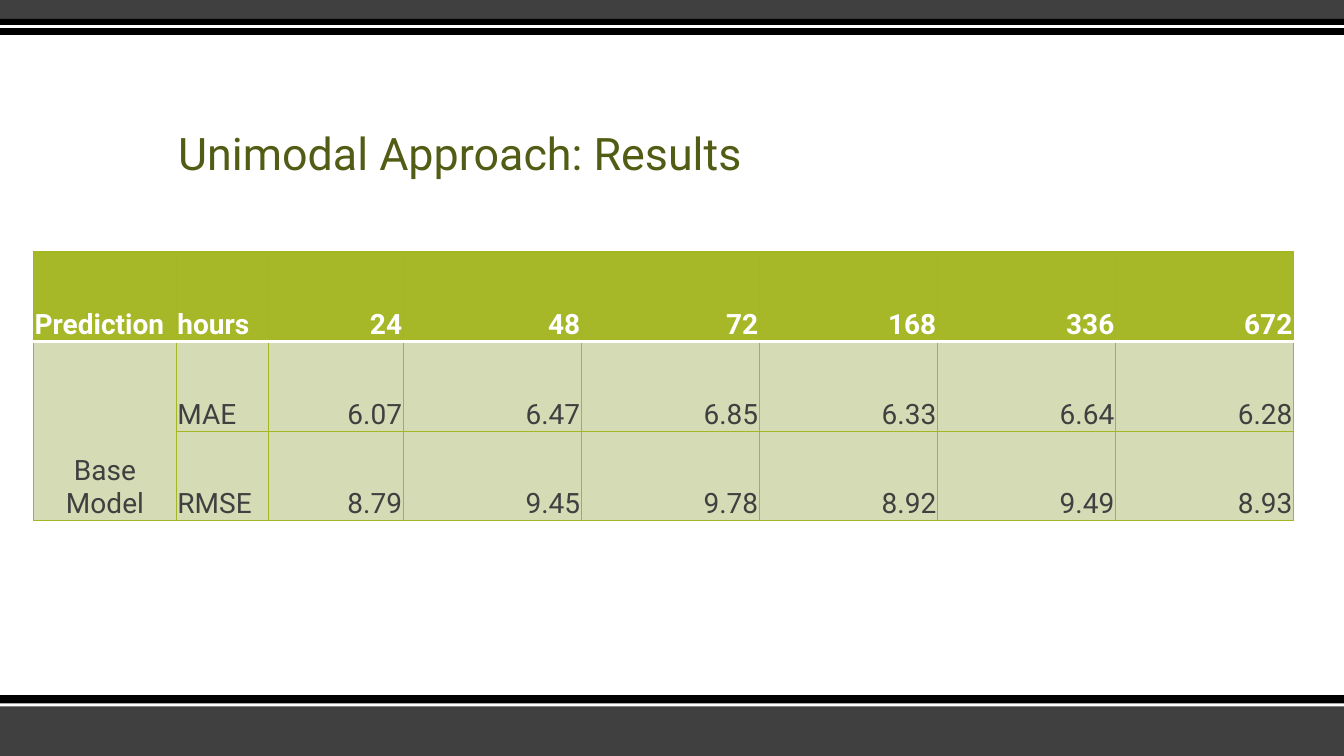
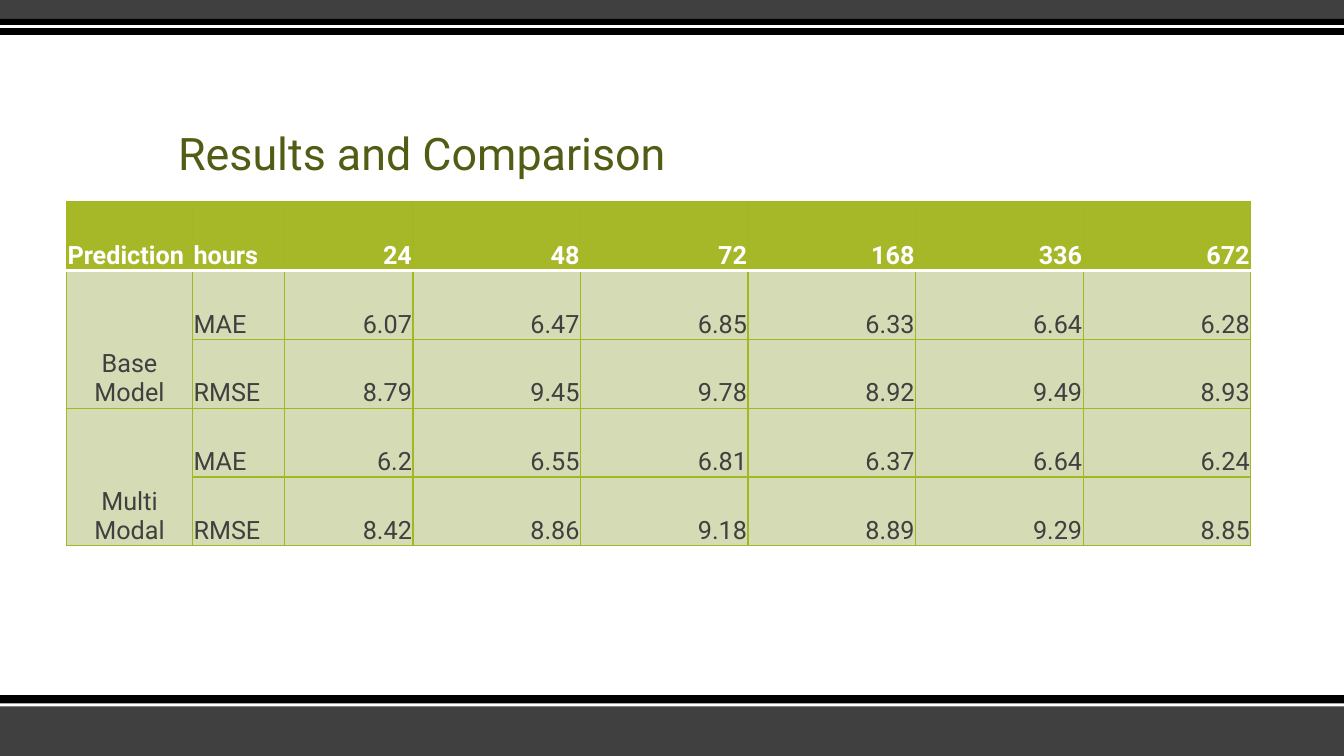
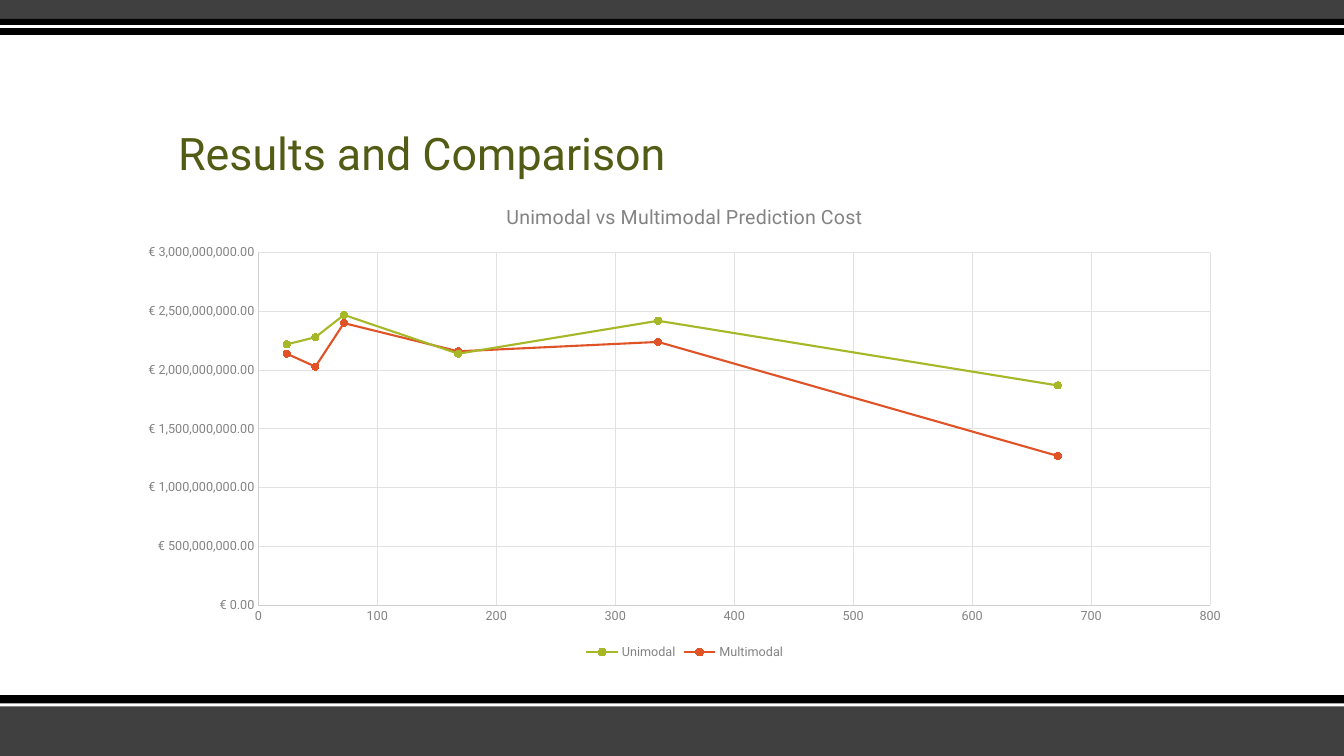
from lxml.etree import SubElement as Sub
from pptx import Presentation
from pptx.chart.data import XyChartData
from pptx.dml.color import RGBColor
from pptx.enum.chart import XL_CHART_TYPE as Kind, XL_LEGEND_POSITION as Spot
from pptx.enum.chart import XL_MARKER_STYLE as Mark, XL_TICK_MARK as Tick
from pptx.enum.shapes import MSO_SHAPE as Form
from pptx.enum.text import MSO_ANCHOR as Anchor, MSO_AUTO_SIZE as Fit, PP_ALIGN as Align
from pptx.oxml.ns import qn
from pptx.util import Pt

FONT = "Roboto"
WIDE, HIGH = 960, 540
DARK, BLACK, WHITE = "404040", "000000", "FFFFFF"
GREEN, EDGE, PALE, OLIVE, RED = "A6B727", "A5B623", "D5DBB5", "535C14", "DF5327"
GREY, AXIS, GRID = "838383", "CFCFCF", "E2E2E2"


def hue(code):
    return RGBColor.from_string(code)


def start(title):
    """Add a slide with the shared title style."""
    slide = deck.slides.add_slide(layout)
    head = slide.shapes.title
    head.left, head.top, head.width, head.height = Pt(120), Pt(48), Pt(720), Pt(84)
    frame = head.text_frame
    frame.auto_size = Fit.NONE
    frame.vertical_anchor = Anchor.BOTTOM
    para = frame.paragraphs[0]
    para.alignment = Align.LEFT
    para.line_spacing = 0.9
    run = para.add_run()
    run.text = title
    run.font.name, run.font.size = FONT, Pt(32)
    run.font.color.rgb = hue(OLIVE)
    return slide


deck = Presentation()
deck.slide_width, deck.slide_height = Pt(WIDE), Pt(HIGH)
layout = deck.slide_layouts[5]

# Tables
hours = [24, 48, 72, 168, 336, 672]
header = ["Prediction", "hours"] + [str(hour) for hour in hours]
base = [
    ["Base Model", "MAE", "6.07", "6.47", "6.85", "6.33", "6.64", "6.28"],
    ["", "RMSE", "8.79", "9.45", "9.78", "8.92", "9.49", "8.93"],
]
multi = [
    ["Multi Modal", "MAE", "6.2", "6.55", "6.81", "6.37", "6.64", "6.24"],
    ["", "RMSE", "8.42", "8.86", "9.18", "8.89", "9.29", "8.85"],
]
# title, rows, left, top, total width, row height, text size, first three columns
tables = [
    ("Unimodal Approach: Results", [header] + base, 24, 180, 900, 64, 20, [102, 66, 96]),
    ("Results and Comparison", [header] + base + multi, 47.5, 144, 846, 49.2, 18,
     [90, 66, 91.5]),
]
for title, rows, left, top, width, tall, size, lead in tables:
    slide = start(title)
    count = len(header)
    grid = slide.shapes.add_table(len(rows), count, Pt(left), Pt(top),
                                  Pt(width), Pt(tall * len(rows))).table
    rest = (width - sum(lead)) / (count - len(lead))
    for col, span in zip(grid.columns, lead + [rest] * (count - len(lead))):
        col.width = Pt(span)
    for r, row in enumerate(rows):
        grid.rows[r].height = Pt(tall)
        for c, text in enumerate(row):
            cell = grid.cell(r, c)
            cell.margin_left = cell.margin_right = cell.margin_top = Pt(0.75)
            cell.margin_bottom = 0
            cell.vertical_anchor = Anchor.BOTTOM
            props = cell._tc.get_or_add_tcPr()
            for side in "LRTB":
                rule = (r, side) in [(0, "B"), (1, "T")]
                line = Sub(props, qn("a:ln" + side), w=str(Pt(2 if rule else 1)))
                fill = Sub(line, qn("a:solidFill"))
                Sub(fill, qn("a:srgbClr"), val=WHITE if rule else EDGE)
            cell.fill.solid()
            cell.fill.fore_color.rgb = hue(PALE if r else GREEN)
            if not text:
                continue
            para = cell.text_frame.paragraphs[0]
            if c > 1:
                para.alignment = Align.RIGHT
            elif r and c == 0:
                para.alignment = Align.CENTER
            run = para.add_run()
            run.text = text
            run.font.name, run.font.size, run.font.bold = FONT, Pt(size), r == 0
            run.font.color.rgb = hue(DARK if r else WHITE)
    for r in range(1, len(rows), 2):
        grid.cell(r, 0).merge(grid.cell(r + 1, 0))

# Cost chart, values in millions
costs = [
    ("Unimodal", GREEN, [2220, 2280, 2470, 2140, 2420, 1870]),
    ("Multimodal", RED, [2140, 2030, 2400, 2160, 2240, 1270]),
]
slide = start("Results and Comparison")
data = XyChartData()
for name, tint, vals in costs:
    series = data.add_series(name)
    for hour, cost in zip(hours, vals):
        series.add_data_point(hour, cost * 10**6)
chart = slide.shapes.add_chart(Kind.XY_SCATTER_SMOOTH, Pt(90), Pt(132), Pt(798), Pt(342),
                               data).chart
chart.font.name, chart.font.size = FONT, Pt(10)
chart.font.color.rgb = hue(DARK)
chart.has_title = True
run = chart.chart_title.text_frame.paragraphs[0].add_run()
run.text = "Unimodal vs Multimodal Prediction Cost"
run.font.name, run.font.size, run.font.bold = FONT, Pt(14), False
run.font.color.rgb = hue(GREY)

chart.has_legend = True
legend = chart.legend
legend.position = Spot.BOTTOM
legend.include_in_layout = False
legend.font.name, legend.font.size = FONT, Pt(9)
legend.font.color.rgb = hue(GREY)

scales = [
    (chart.category_axis, 800, 100, "General"),
    (chart.value_axis, 3 * 10**9, 5 * 10**8, '"€ "#,##0.00'),
]
for axis, top, step, form in scales:
    axis.minimum_scale, axis.maximum_scale, axis.major_unit = 0, top, step
    axis.major_tick_mark = axis.minor_tick_mark = Tick.NONE
    axis.has_major_gridlines = True
    for line, tint in [(axis.format.line, AXIS), (axis.major_gridlines.format.line, GRID)]:
        line.color.rgb = hue(tint)
        line.width = Pt(0.75)
    labels = axis.tick_labels
    labels.number_format, labels.number_format_is_linked = form, False
    labels.font.name, labels.font.size = FONT, Pt(9)
    labels.font.color.rgb = hue(GREY)

plot = chart.plots[0]
plot.vary_by_categories = False
for series, (name, tint, vals) in zip(plot.series, costs):
    series.format.line.color.rgb = hue(tint)
    series.format.line.width = Pt(1.5)
    series.marker.style, series.marker.size = Mark.CIRCLE, 5
    series.marker.format.fill.solid()
    series.marker.format.fill.fore_color.rgb = hue(tint)
    series.marker.format.line.color.rgb = hue(tint)

# Bands, moved to the layout so that every slide shows them
bands = [
    (504, 36, DARK), (496.5, 7.75, BLACK), (502.5, 2, WHITE),
    (0, 13.5, DARK), (13.5, 11.5, BLACK), (18, 2, WHITE),
]
for i, (top, tall, tint) in enumerate(bands):
    band = slide.shapes.add_shape(Form.RECTANGLE, 0, Pt(top), Pt(WIDE), Pt(tall))
    band.shadow.inherit = False
    band.fill.solid()
    band.fill.fore_color.rgb = hue(tint)
    band.line.fill.background()
    band.name = f"Band {i + 1}"
    band.element.nvSpPr.cNvPr.set("id", str(20 + i))
    layout.shapes.element.append(band.element)

deck.save("out.pptx")
